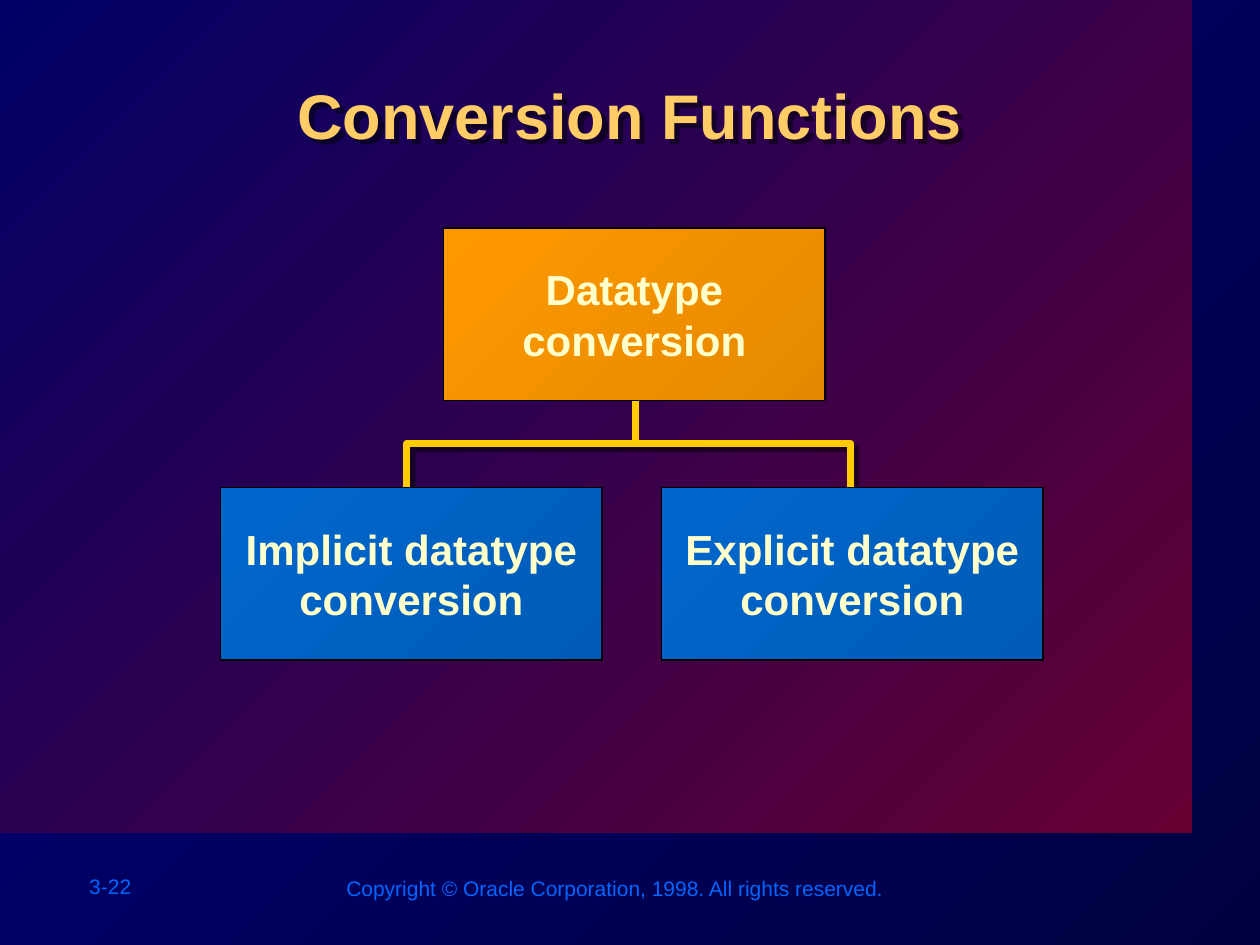
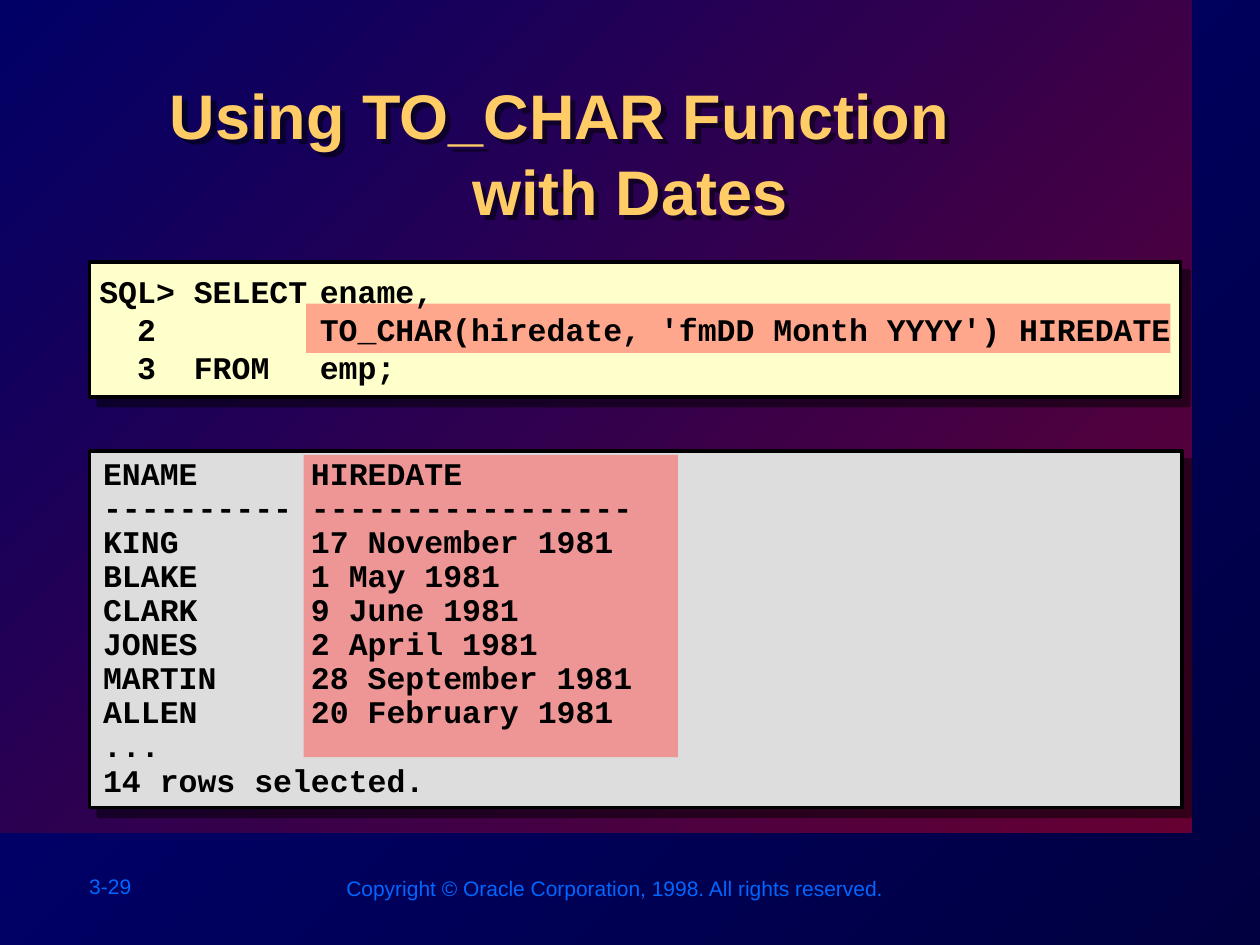
from dataclasses import dataclass

import lxml.etree
import pptx
import pptx.dml.color
import pptx.enum.shapes
import pptx.enum.text
import pptx.oxml.ns
import pptx.util

Inches = pptx.util.Inches
Pt = pptx.util.Pt
RECT = pptx.enum.shapes.MSO_SHAPE.RECTANGLE
ALIGN = pptx.enum.text.PP_ALIGN
ANCHOR = pptx.enum.text.MSO_ANCHOR

# Shared colours
BLACK = "000000"
GOLD = "FFCC66"
CREAM = "FFFFCC"
BLUE = "0066FF"
LINE = "FFCC00"
PINK = "FF5050"
BACK = ("000080", "000040")
PANEL = ("000066", "660033")
ORANGE = ("FF9900", "E58900")
AZURE = ("0066CC", "005CB7")


@dataclass
class Box:
    left: float
    top: float
    width: float
    height: float

    def span(self) -> tuple:
        return tuple(Inches(v) for v in (self.left, self.top, self.width, self.height))


@dataclass
class Style:
    size: float
    tint: str
    face: str = "Arial"
    bold: bool = True
    align: ALIGN = ALIGN.LEFT
    pitch: float = 1.0
    tabs: tuple = ()


@dataclass
class Node:
    box: Box
    lines: tuple
    fill: tuple


@dataclass
class Frame:
    box: Box
    fill: str


TITLE = Style(36, GOLD, align=ALIGN.CENTER)
FOOT = Style(12, BLUE, bold=False)
LABEL = Style(24, CREAM, align=ALIGN.CENTER)
CODE = Style(18, BLACK, "Courier New", tabs=(0.75, 1.75))
TABLE = Style(18, BLACK, "Courier New", pitch=0.9, tabs=(1.65,))


def rgb(tint: str) -> pptx.dml.color.RGBColor:
    return pptx.dml.color.RGBColor.from_string(tint)


def add(parent, tag: str, **attrs):
    return lxml.etree.SubElement(parent, pptx.oxml.ns.qn(tag), attrs)


def blend(fill, pair: tuple) -> None:
    """Diagonal gradient between two colours."""
    fill.gradient()
    fill.gradient_angle = 315
    for stop, tint in zip(fill.gradient_stops, pair):
        stop.color.rgb = rgb(tint)


def shade(shape, dist: float) -> None:
    """Hard half-clear shadow to the lower right."""
    effect = add(shape.element.spPr, "a:effectLst")
    outer = add(effect, "a:outerShdw", blurRad="0", dist=str(Pt(dist)),
                dir="2700000", algn="ctr", rotWithShape="0")
    add(add(outer, "a:srgbClr", val=BLACK), "a:alpha", val="50000")


def stroke(line, tint: str, width: float) -> None:
    line.color.rgb = rgb(tint)
    line.width = Pt(width)


def block(slide, box: Box, fill, edge: float = 0, drop: float = 0):
    """Rectangle with a plain colour or a colour pair."""
    shape = slide.shapes.add_shape(RECT, *box.span())
    if isinstance(fill, tuple):
        blend(shape.fill, fill)
    else:
        shape.fill.solid()
        shape.fill.fore_color.rgb = rgb(fill)
    if edge:
        stroke(shape.line, BLACK, edge)
    else:
        shape.line.fill.background()
    if drop:
        shade(shape, drop)
    else:
        shape.shadow.inherit = False
    return shape


def write(shape, lines: tuple, style: Style, wrap: bool = False,
          anchor: ANCHOR = ANCHOR.TOP) -> None:
    frame = shape.text_frame
    frame.word_wrap = wrap
    frame.vertical_anchor = anchor
    frame.text = "\n".join(lines)
    for para in frame.paragraphs:
        para.alignment = style.align
        para.line_spacing = style.pitch
        if style.tabs:
            stops = add(para._p.get_or_add_pPr(), "a:tabLst")
            for tab in style.tabs:
                add(stops, "a:tab", pos=str(Inches(tab)), algn="l")
        para.font.size = Pt(style.size)
        para.font.name = style.face
        para.font.bold = style.bold
        para.font.color.rgb = rgb(style.tint)


def text(slide, box: Box, lines: tuple, style: Style, **opts):
    shape = slide.shapes.add_textbox(*box.span())
    write(shape, lines, style, **opts)
    return shape


def start(deck, page: str):
    """New slide with panel and footers."""
    slide = deck.slides.add_slide(deck.slide_layouts[6])
    blend(slide.background.fill, BACK)
    block(slide, Box(0, 0, 9.46, 6.61), PANEL)
    text(slide, Box(0.61, 6.88, 1.11, 0.3), (page,), FOOT)
    text(slide, Box(2.65, 6.9, 4.48, 0.3),
         ("Copyright © Oracle Corporation, 1998. All rights reserved.",), FOOT)
    return slide


def head(slide, *lines: str):
    shape = text(slide, Box(1.01, 0.56, 7.98, 0.96), lines, TITLE, wrap=True)
    shade(shape, 4.2)
    return shape


def draw_tree(deck) -> None:
    slide = start(deck, "3-22")

    # Stem and bracket behind the boxes
    stem = slide.shapes.add_connector(
        pptx.enum.shapes.MSO_CONNECTOR.STRAIGHT,
        Inches(5.04), Inches(3.52), Inches(5.04), Inches(2.88))
    stroke(stem.line, LINE, 4)
    add(stem.element.spPr, "a:effectLst")
    pen = slide.shapes.build_freeform(Inches(3.23), Inches(4.15))
    pen.add_line_segments([(Inches(x), Inches(y)) for x, y in
                           ((3.23, 3.52), (6.75, 3.52), (6.75, 4.04))], close=False)
    fork = pen.convert_to_shape()
    fork.fill.background()
    stroke(fork.line, LINE, 4)
    shade(fork, 4.2)

    head(slide, "Conversion Functions")
    wide, high = 3.03, 1.37
    for node in (
        Node(Box(1.75, 3.87, wide, high), ("Implicit datatype", "conversion"), AZURE),
        Node(Box(5.25, 3.87, wide, high), ("Explicit datatype", "conversion"), AZURE),
        Node(Box(3.52, 1.81, wide, high), ("Datatype", "conversion"), ORANGE),
    ):
        shape = block(slide, node.box, node.fill, edge=1)
        write(shape, node.lines, LABEL, anchor=ANCHOR.MIDDLE)


def draw_dates(deck) -> None:
    slide = start(deck, "3-29")
    for frame in (Frame(Box(0.71, 2.08, 8.66, 1.07), CREAM),
                  Frame(Box(0.71, 3.58, 8.67, 2.83), "DDDDDD")):
        block(slide, frame.box, frame.fill, edge=2, drop=7.1)

    # The first title line sits left of centre
    title = head(slide, "Using TO_CHAR Function", "with Dates")
    first = title.text_frame.paragraphs[0]
    first.alignment = ALIGN.LEFT
    first._p.get_or_add_pPr().set("marL", str(Inches(0.24)))

    # Half-clear marks under the code
    for box in (Box(2.43, 2.41, 6.86, 0.39), Box(2.41, 3.61, 2.97, 2.4)):
        mark = block(slide, box, PINK)
        tint = mark.element.spPr.find(".//" + pptx.oxml.ns.qn("a:srgbClr"))
        add(tint, "a:alpha", val="50000")

    # Query, in a box wide enough for its longest line, and its result
    text(slide, Box(0.69, 1.87, 9, 1.48), (
        "SQL>\tSELECT\tename,",
        "  2\t\tTO_CHAR(hiredate, 'fmDD Month YYYY') HIREDATE",
        "  3\tFROM\temp;",
    ), CODE, wrap=True, anchor=ANCHOR.MIDDLE)
    rows = (
        ("ENAME", "HIREDATE"),
        ("-" * 10, "-" * 17),
        ("KING", "17 November 1981"),
        ("BLAKE", "1 May 1981"),
        ("CLARK", "9 June 1981"),
        ("JONES", "2 April 1981"),
        ("MARTIN", "28 September 1981"),
        ("ALLEN", "20 February 1981"),
        ("...",),
        ("14 rows selected.",),
    )
    text(slide, Box(0.72, 3.59, 7.94, 2.8),
         tuple("\t".join(row) for row in rows), TABLE, wrap=True)


def main() -> None:
    deck = pptx.Presentation()
    deck.slide_width, deck.slide_height = Inches(10), Inches(7.5)
    draw_tree(deck)
    draw_dates(deck)
    deck.save("out.pptx")


if __name__ == "__main__":
    main()
